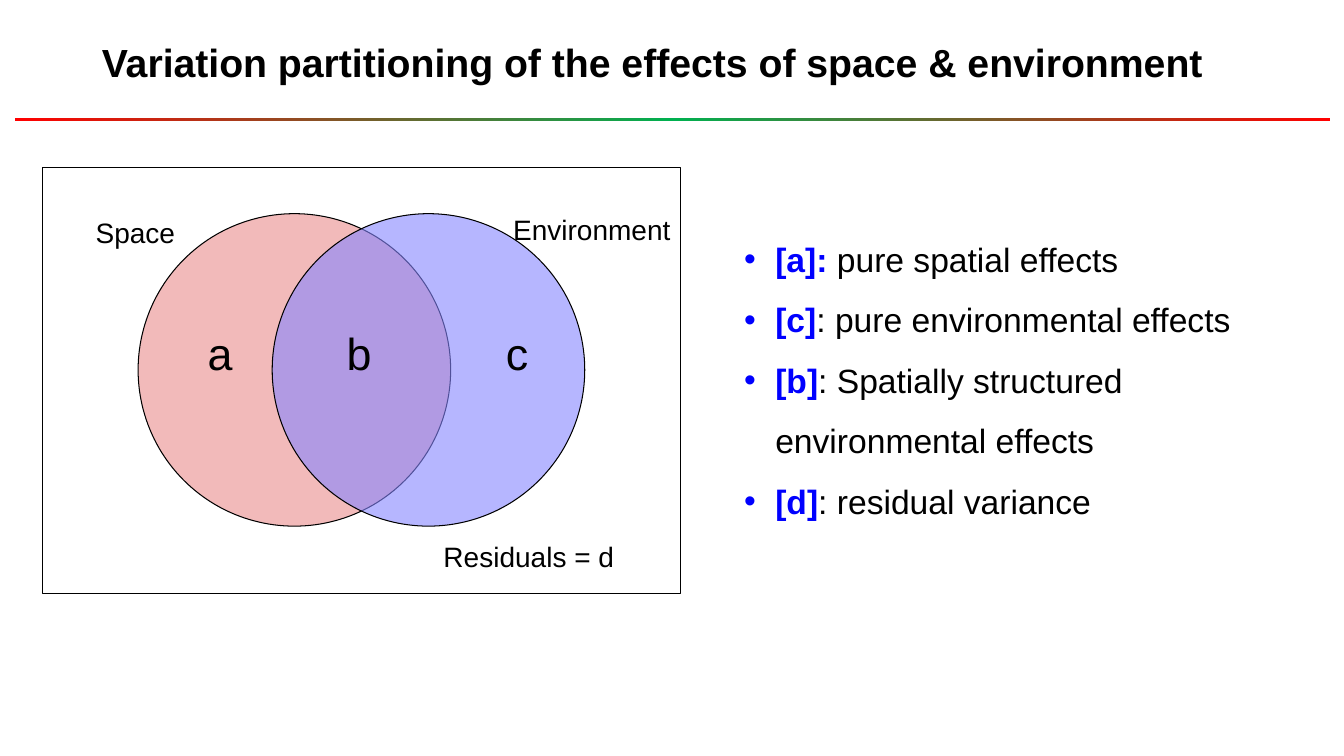
from copy import deepcopy

from lxml.etree import SubElement
from pptx import Presentation
from pptx.dml.color import RGBColor
from pptx.enum.shapes import MSO_SHAPE as Shape
from pptx.enum.text import MSO_ANCHOR as Anchor, MSO_AUTO_SIZE as AutoSize, PP_ALIGN as Align
from pptx.oxml.ns import qn
from pptx.util import Pt

PX = 9144
BLACK = RGBColor(0x00, 0x00, 0x00)
RED = RGBColor(0xFF, 0x00, 0x00)
GREEN = RGBColor(0x00, 0xB0, 0x50)
BLUE = RGBColor(0x00, 0x00, 0xFF)
PINK = RGBColor(0xEA, 0x8C, 0x8C)
LAVENDER = RGBColor(0x86, 0x86, 0xFF)

EFFECTS = [
    ("[a]: ", "pure spatial effects"),
    ("[c]", ": pure environmental effects"),
    ("[b]", ": Spatially structured environmental effects"),
    ("[d]", ": residual variance"),
]


def emu(*lengths):
    return [length * PX for length in lengths]


def place(shape, box):
    shape.left, shape.top, shape.width, shape.height = emu(*box)


def set_font(paragraph, size, bold=False):
    font = paragraph.font
    font.name, font.size, font.bold = "Arial", Pt(size), bold
    font.color.rgb = BLACK


def add_title(slide, box):
    title = slide.shapes.title
    place(title, box)
    frame = title.text_frame
    frame.text = "Variation partitioning of the effects of space & environment"
    frame.word_wrap = False
    frame.auto_size = AutoSize.NONE
    frame.vertical_anchor = Anchor.MIDDLE
    paragraph = frame.paragraphs[0]
    paragraph.alignment = Align.LEFT
    set_font(paragraph, 28, bold=True)


def add_rule(slide, box):
    rule = slide.shapes.add_shape(Shape.RECTANGLE, *emu(*box))
    rule.shadow.inherit = False
    rule.line.fill.background()
    rule.fill.gradient()
    rule.fill.gradient_angle = 0
    first = rule.fill._fill._gradFill.find(qn("a:gsLst"))[0]
    first.addnext(deepcopy(first))
    stops = rule.fill.gradient_stops
    for stop, position, color in zip(stops, (0, 0.5, 1), (RED, GREEN, RED)):
        stop.position = position
        stop.color.rgb = color


def add_outlined(group, kind, box, color=None):
    shape = group.shapes.add_shape(kind, *emu(*box))
    shape.shadow.inherit = False
    shape.line.color.rgb = BLACK
    shape.line.width = Pt(0.75)
    if color is None:
        shape.fill.background()
        return
    shape.fill.solid()
    shape.fill.fore_color.rgb = color
    rgb = shape.fill._xPr.find(qn("a:solidFill"))[0]
    SubElement(rgb, qn("a:alpha"), val="60000")


def add_label(group, text, box, size):
    label = group.shapes.add_textbox(*emu(*box))
    frame = label.text_frame
    frame.word_wrap = True
    frame.text = text
    set_font(frame.paragraphs[0], size)


def add_venn(slide, box):
    left, top, width, height = box
    group = slide.shapes.add_group_shape()
    add_outlined(group, Shape.RECTANGLE, box)
    for x, color in ((95, PINK), (228, LAVENDER)):
        add_outlined(group, Shape.OVAL, (left + x, top + 46, 310, 310), color)
    for text, x, y, label_width in (
        ("Space", 43, 43, 124), ("Environment", 457, 40, 232), ("Residuals = d", 388, 364, 222)
    ):
        add_label(group, text, (left + x, top + y, label_width, 40), 20)
    for text, x in (("a", 154), ("b", 292), ("c", 450)):
        add_label(group, text, (left + x, top + 152, 52, 74), 32)


def add_effects(slide, box):
    body = slide.placeholders[1]
    place(body, box)
    frame = body.text_frame
    frame.word_wrap = True
    frame.auto_size = AutoSize.NONE
    for index, (key, meaning) in enumerate(EFFECTS):
        paragraph = frame.add_paragraph() if index else frame.paragraphs[0]
        paragraph.line_spacing = 1.5
        paragraph.space_before = Pt(0)
        properties = paragraph._p.get_or_add_pPr()
        properties.set("marL", str(31 * PX))
        properties.set("indent", str(-31 * PX))
        SubElement(properties, qn("a:buChar"), char="•")
        set_font(paragraph, 24)
        key_run = paragraph.add_run()
        key_run.text = key
        key_run.font.bold = True
        key_run.font.color.rgb = BLUE
        paragraph.add_run().text = meaning


def main():
    presentation = Presentation()
    presentation.slide_width, presentation.slide_height = emu(1333, 750)
    slide = presentation.slides.add_slide(presentation.slide_layouts[1])
    add_rule(slide, (15, 117, 1304, 3))
    add_title(slide, (91, 33, 1115, 57))
    add_venn(slide, (42, 166, 633, 423))
    add_effects(slide, (728, 212, 545, 306))
    presentation.save("out.pptx")


if __name__ == "__main__":
    main()
